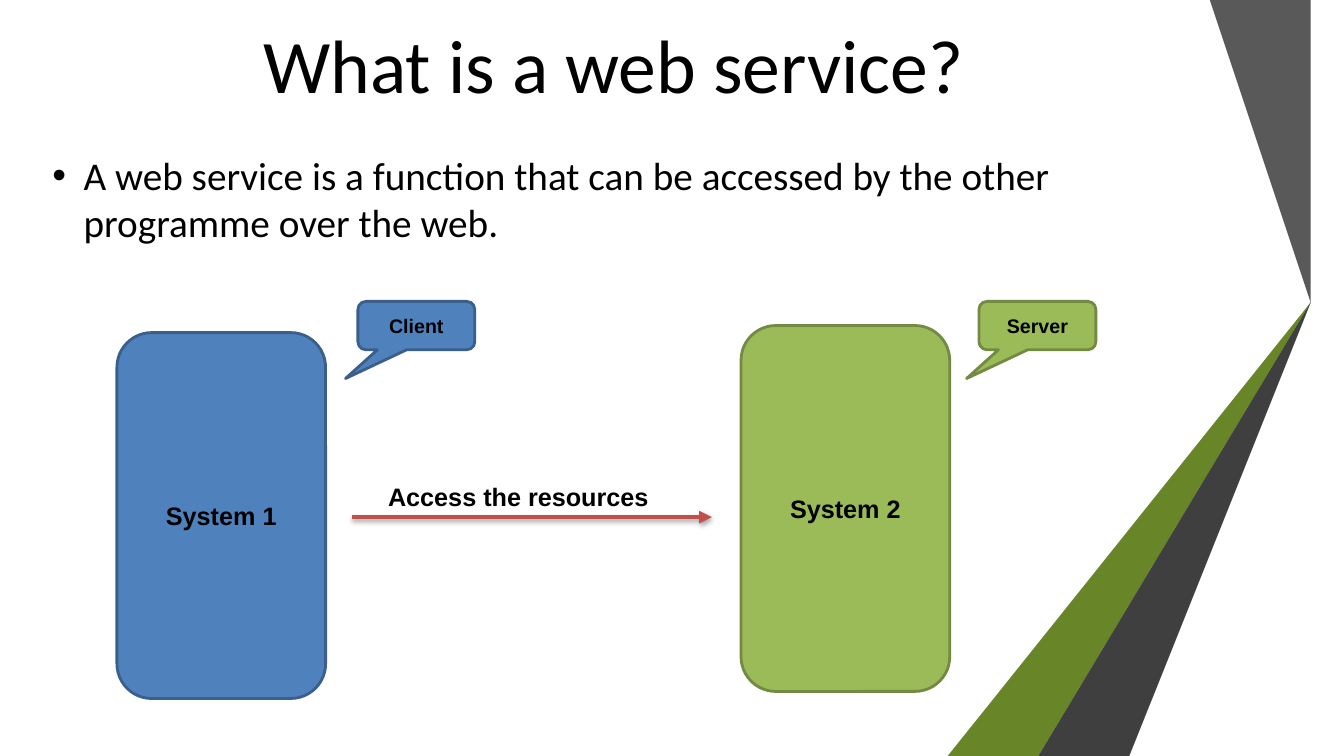
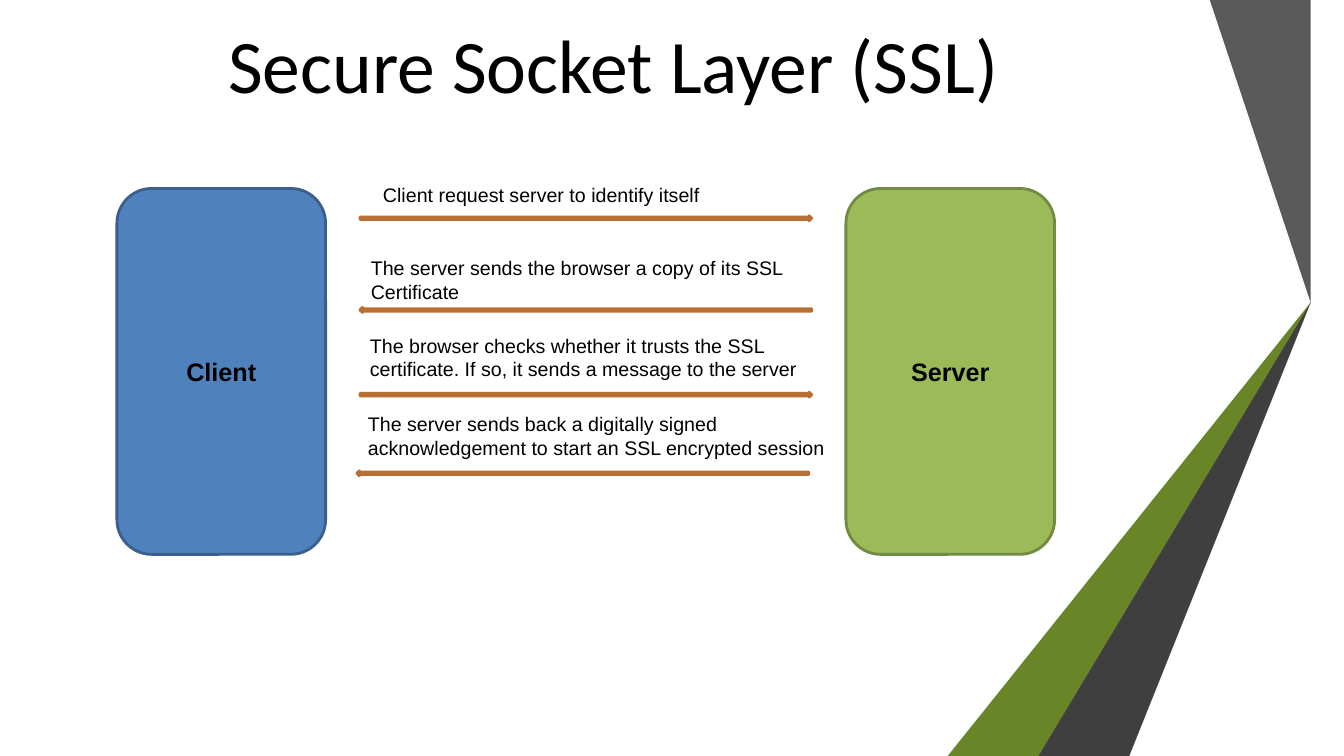
"""Build two slides on web services and the SSL handshake."""
import pptx
import pptx.util
import pptx.dml.color
import pptx.enum.shapes
import pptx.enum.text
import pptx.oxml

Inches, Pt = pptx.util.Inches, pptx.util.Pt
RGB = pptx.dml.color.RGBColor.from_string
SHAPE = pptx.enum.shapes.MSO_SHAPE
ALIGN = pptx.enum.text.PP_ALIGN
NS = 'xmlns:a="http://schemas.openxmlformats.org/drawingml/2006/main"'
COLOURS = {
    "text": "000000", "blue": "4F81BD", "blue edge": "3A5F8C",
    "green": "9BBB59", "green edge": "738A42",
    "orange": "F79646", "orange edge": "B76F34", "red": "C0504D",
    "lime": "8AB334", "grey": "595959", "black": "252525",
    "moss": "455A1A", "olive": "688627", "charcoal": "3F3F3F",
}
RIBBONS = [
    ("lime", [(12.31, 0), (11.96, 0), (12.61, 3.04), (12.93, 2.94)]),
    ("grey", [(12.74, 0), (12.39, 0), (13.01, 2.92), (13.33, 2.83)]),
    ("black", [(13.33, 2.83), (10.88, 7.5), (10.99, 7.5)]),
    ("moss", [(12.93, 2.95), (9.89, 7.5), (10.01, 7.5)]),
    ("olive", [(12.93, 2.94), (12.61, 3.04), (8.76, 7.5), (9.89, 7.5)]),
    ("charcoal", [(13.33, 2.83), (13.01, 2.92), (12.95, 3.02), (10.07, 7.5), (10.88, 7.5)]),
]


def add_text(slide, place, words, size, font="Arial", bold=False, inset=True, wrap=True):
    """Add a text box and return its paragraph."""
    frame = slide.shapes.add_textbox(*map(Inches, place)).text_frame
    frame.word_wrap = wrap
    if not inset:
        frame.margin_left = frame.margin_right = frame.margin_top = frame.margin_bottom = 0
    frame.text = words
    paragraph = frame.paragraphs[0]
    style = paragraph.runs[0].font
    style.name, style.size, style.bold = font, Pt(size), bold
    style.color.rgb = RGB(COLOURS["text"])
    return paragraph


def add_block(slide, kind, place, colour, label="", size=18):
    """Add an outlined shape with an optional bold label."""
    block = slide.shapes.add_shape(kind, *map(Inches, place))
    block.shadow.inherit = False
    block.fill.solid()
    block.fill.fore_color.rgb = RGB(COLOURS[colour])
    block.line.color.rgb = RGB(COLOURS[colour + " edge"])
    block.line.width = Pt(2)
    if label:
        block.text_frame.text = label
        block.text_frame.vertical_anchor = pptx.enum.text.MSO_ANCHOR.MIDDLE
        paragraph = block.text_frame.paragraphs[0]
        paragraph.alignment = ALIGN.CENTER
        style = paragraph.runs[0].font
        style.name, style.size, style.bold = "Arial", Pt(size), True
        style.color.rgb = RGB(COLOURS["text"])
    return block


deck = pptx.Presentation()
deck.slide_width, deck.slide_height = Inches(13.33), Inches(7.5)

slides = []
for title in ("What is a web service?", "Secure Socket Layer (SSL)"):
    slide = deck.slides.add_slide(deck.slide_layouts[6])
    for colour, corners in RIBBONS:
        outline = slide.shapes.build_freeform(*corners[0], scale=Inches(1))
        outline.add_line_segments(corners[1:], close=True)
        ribbon = outline.convert_to_shape()
        ribbon.shadow.inherit = False
        ribbon.fill.solid()
        ribbon.fill.fore_color.rgb = RGB(COLOURS[colour])
        ribbon.line.fill.background()
    heading = add_text(slide, (0.67, 0.18, 10.83, 0.91), title, 54, "Calibri", inset=False)
    heading.alignment = ALIGN.CENTER
    slides.append(slide)
service, handshake = slides

definition = add_text(
    service, (0.5, 1.5, 11.5, 1.04),
    "A web service is a function that can be accessed by the other programme over the web.",
    28, "Calibri", inset=False)
bullet = definition._p.get_or_add_pPr()
bullet.set("marL", str(Inches(0.33)))
bullet.set("indent", str(Inches(-0.31)))
bullet.append(pptx.oxml.parse_xml(f'<a:buFont {NS} typeface="Arial"/>'))
bullet.append(pptx.oxml.parse_xml(f'<a:buChar {NS} char="•"/>'))

for left, top, colour, system, callout_left, role in (
        (1.16, 3.3, "blue", "System 1", 3.55, "Client"),
        (7.35, 3.23, "green", "System 2", 9.71, "Server")):
    add_block(service, SHAPE.ROUNDED_RECTANGLE, (left, top, 2.07, 3.63), colour, system)
    callout = add_block(service, SHAPE.ROUNDED_RECTANGULAR_CALLOUT,
                        (callout_left, 2.99, 1.16, 0.48), colour, role, 14)
    callout.adjustments[0], callout.adjustments[1] = -0.606, 1.094

access = service.shapes.add_connector(
    pptx.enum.shapes.MSO_CONNECTOR.STRAIGHT,
    Inches(3.49), Inches(5.13), Inches(7.06), Inches(5.13))
access.line.color.rgb = RGB(COLOURS["red"])
access.line.width = Pt(3)
access.line._get_or_add_ln().append(pptx.oxml.parse_xml(f'<a:tailEnd {NS} type="triangle"/>'))
access._element.spPr.append(pptx.oxml.parse_xml(
    f'<a:effectLst {NS}><a:outerShdw blurRad="{Pt(3.1)}" dist="{Pt(1.8)}" dir="5400000" '
    f'rotWithShape="0"><a:srgbClr val="{COLOURS["text"]}"><a:alpha val="35000"/></a:srgbClr>'
    '</a:outerShdw></a:effectLst>'))
add_text(service, (3.75, 4.73, 2.81, 0.4), "Access the resources", 18, bold=True, wrap=False)

for left, colour, role in ((1.16, "blue", "Client"), (8.39, "green", "Server")):
    add_block(handshake, SHAPE.ROUNDED_RECTANGLE, (left, 1.87, 2.07, 3.63), colour, role)

MESSAGES = [
    (3.57, 2.14, (3.7, 1.77, 3.49, 0.34), "Client request server to identify itself"),
    (3.57, 3.05, (3.58, 2.49, 4.46, 0.57),
     "The server sends the browser a copy of its SSL Certificate"),
    (3.57, 3.89, (3.57, 3.26, 4.79, 0.57),
     "The browser checks whether it trusts the SSL certificate. "
     "If so, it sends a message to the server"),
    (3.54, 4.67, (3.55, 4.04, 4.79, 0.57),
     "The server sends back a digitally signed acknowledgement "
     "to start an SSL encrypted session"),
]
for step, (left, top, place, message) in enumerate(MESSAGES):
    arrow = add_block(handshake, SHAPE.RIGHT_ARROW, (left, top, 4.48, 0.05), "orange")
    arrow.rotation = 180 * (step % 2)
    add_text(handshake, place, message, 14)

deck.save("out.pptx")
